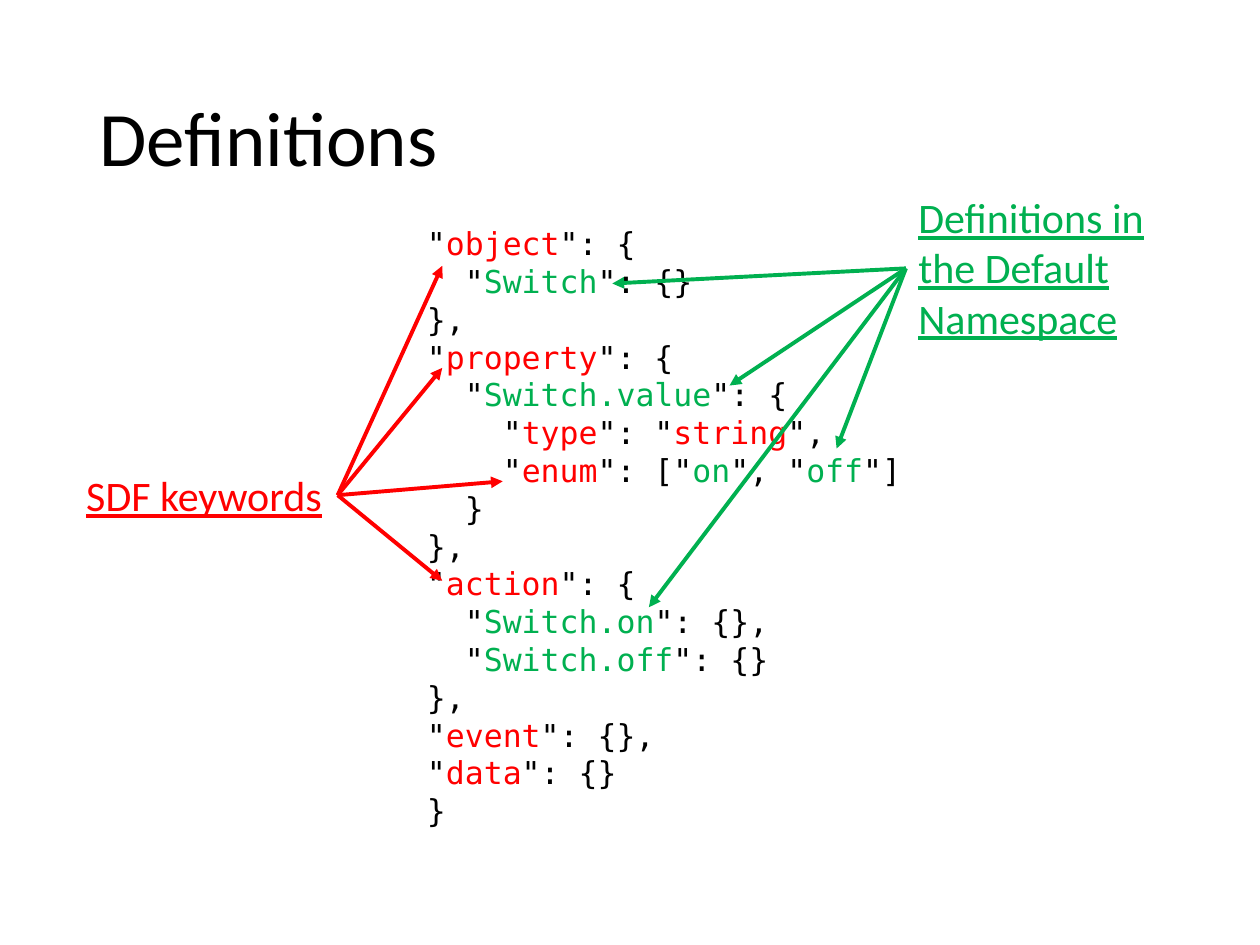
from dataclasses import dataclass

from lxml import etree
from pptx import Presentation
from pptx.dml.color import RGBColor
from pptx.enum.shapes import MSO_CONNECTOR
from pptx.enum.text import MSO_ANCHOR, PP_ALIGN
from pptx.oxml.ns import qn
from pptx.util import Inches, Pt

STRAIGHT = MSO_CONNECTOR.STRAIGHT
MIDDLE = MSO_ANCHOR.MIDDLE
LEFT, CENTER = PP_ALIGN.LEFT, PP_ALIGN.CENTER


@dataclass
class Theme:
    text: RGBColor = RGBColor(0x00, 0x00, 0x00)
    keyword: RGBColor = RGBColor(0xFF, 0x00, 0x00)
    definition: RGBColor = RGBColor(0x00, 0xB0, 0x50)
    body_font: str = "Calibri"
    code_font: str = "DejaVu Sans Mono"
    title_size: int = 44
    label_size: int = 24
    code_size: int = 18
    arrow_width: float = 2.25


theme = Theme()

CODE = '''"object": {
  "Switch": {}
},
"property": {
  "Switch.value": {
    "type": "string",
    "enum": ["on", "off"]
  }
},
"action": {
  "Switch.on": {},
  "Switch.off": {}
},
"event": {},
"data": {}
}'''
KEYWORDS = {"object", "property", "type", "string", "enum", "action", "event", "data"}

LABELS = [
    ("SDF keywords", (0.56, 3.68, 2.12, 0.5), CENTER, theme.keyword),
    ("Definitions in the Default Namespace", (7.19, 1.47, 2.07, 1.31), LEFT, theme.definition),
]
ARROWS = [
    ((2.68, 3.93), [(3.51, 2.11), (3.51, 2.92), (3.99, 3.82), (3.51, 4.61)], theme.keyword),
    ((7.19, 2.13), [(4.86, 2.25), (5.79, 3.06), (6.64, 3.56), (5.15, 4.82)], theme.definition),
]


def format_run(run, font_name, size, color, underline=None):
    run.font.name = font_name
    run.font.size = Pt(size)
    run.font.color.rgb = color
    run.font.underline = underline


presentation = Presentation()
presentation.slide_width = Inches(10)
presentation.slide_height = Inches(7.5)
slide = presentation.slides.add_slide(presentation.slide_layouts[5])

title = slide.shapes.title
title.left, title.top = Inches(0.69), Inches(0.4)
title.width, title.height = Inches(8.62), Inches(1.45)
title.text_frame.text = "Definitions"
title.text_frame.vertical_anchor = MIDDLE
paragraph = title.text_frame.paragraphs[0]
paragraph.alignment = LEFT
paragraph.line_spacing = 0.9
format_run(paragraph.runs[0], theme.body_font, theme.title_size, theme.text)

code_box = slide.shapes.add_textbox(Inches(3.29), Inches(1.73), Inches(5), Inches(4.95))
code_box.text_frame.word_wrap = True
code_box.text_frame.text = CODE
for paragraph, line in zip(code_box.text_frame.paragraphs, CODE.splitlines()):
    paragraph.clear()
    parts = line.split('"')
    for index, part in enumerate(parts):
        run = paragraph.add_run()
        if index % 2:
            run.text = part
            color = theme.keyword if part in KEYWORDS else theme.definition
        else:
            opening = '"' if index > 0 else ""
            closing = '"' if index < len(parts) - 1 else ""
            run.text = opening + part + closing
            color = theme.text
        format_run(run, theme.code_font, theme.code_size, color)

for text, bounds, alignment, color in LABELS:
    label = slide.shapes.add_textbox(*map(Inches, bounds))
    label.text_frame.word_wrap = True
    label.text_frame.text = text
    paragraph = label.text_frame.paragraphs[0]
    paragraph.alignment = alignment
    format_run(paragraph.runs[0], theme.body_font, theme.label_size, color, True)

for start, targets, color in ARROWS:
    for target in targets:
        arrow = slide.shapes.add_connector(STRAIGHT, *map(Inches, start + target))
        arrow.line.color.rgb = color
        arrow.line.width = Pt(theme.arrow_width)
        properties = arrow.element.spPr
        etree.SubElement(properties.find(qn("a:ln")), qn("a:tailEnd"), type="triangle")
        etree.SubElement(properties, qn("a:effectLst"))

presentation.save("out.pptx")
